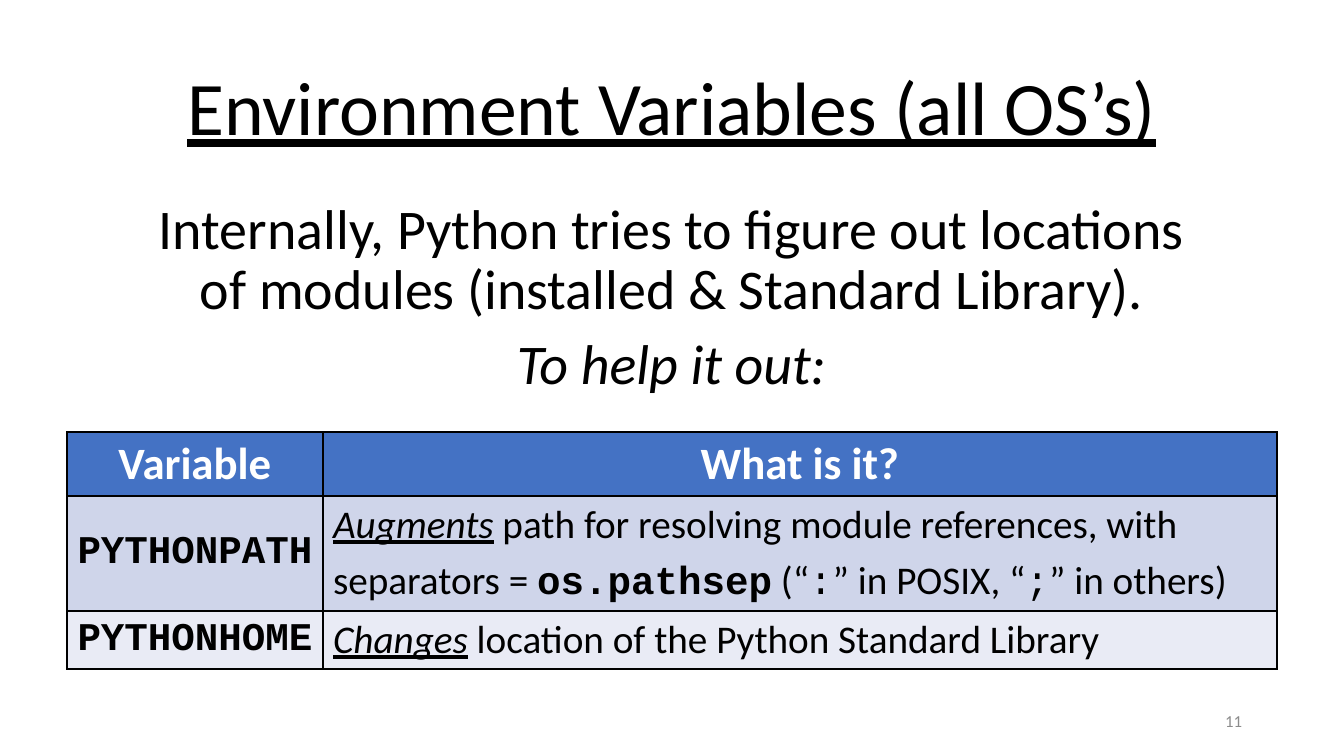
import pptx
import pptx.dml.color
import pptx.enum.text
import pptx.oxml.ns
import pptx.util
from lxml import etree

EMU_PER_PX = 914400 / 100.8
BODY, CODE = "Calibri", "Courier New"
BLACK, WHITE, GREY = "000000", "FFFFFF", "8C8C8C"
BLUE, BLUE_TINT, PALE_TINT = "4472C4", "CFD5EA", "E9EBF5"
ALIGN = pptx.enum.text.PP_ALIGN
ANCHOR = pptx.enum.text.MSO_ANCHOR


def px(length):
    return pptx.util.Emu(round(length * EMU_PER_PX))


def rgb(code):
    return pptx.dml.color.RGBColor.from_string(code)


def add_run(para, text, size, color=BLACK, font=BODY, bold=False, italic=False, underline=False):
    span = para.add_run()
    span.text = text
    span.font.name = font
    span.font.size = pptx.util.Pt(size)
    span.font.color.rgb = rgb(color)
    span.font.bold = bold
    span.font.italic = italic
    span.font.underline = underline


def add_paragraphs(frame, paragraphs, size, color=BLACK, align=ALIGN.LEFT, line=1.0, before=0):
    """Write paragraphs, each a list of (text, run style) pairs."""
    for index, runs in enumerate(paragraphs):
        para = frame.add_paragraph() if index else frame.paragraphs[0]
        para.alignment = align
        para.line_spacing = line
        para.space_before = pptx.util.Pt(before)
        for text, style in runs:
            add_run(para, text, size, color, **style)


def add_text(page, left, top, width, height, paragraphs, size, anchor=ANCHOR.MIDDLE, **style):
    box = page.shapes.add_textbox(px(left), px(top), px(width), px(height))
    box.text_frame.word_wrap = True
    box.text_frame.vertical_anchor = anchor
    add_paragraphs(box.text_frame, paragraphs, size, **style)


def add_borders(cell, color, width):
    properties = cell._tc.get_or_add_tcPr()
    for side in ("a:lnL", "a:lnR", "a:lnT", "a:lnB"):
        border = etree.SubElement(properties, pptx.oxml.ns.qn(side), w=str(pptx.util.Pt(width)))
        fill = etree.SubElement(border, pptx.oxml.ns.qn("a:solidFill"))
        etree.SubElement(fill, pptx.oxml.ns.qn("a:srgbClr"), val=color)


def fill_cell(cell, fill, paragraphs, size, **style):
    add_borders(cell, BLACK, 1)
    cell.fill.solid()
    cell.fill.fore_color.rgb = rgb(fill)
    cell.vertical_anchor = ANCHOR.MIDDLE
    add_paragraphs(cell.text_frame, paragraphs, size, **style)


def add_variable_table(page, left, top, widths, heights, headings, variables):
    table = page.shapes.add_table(
        len(heights), len(widths), px(left), px(top), px(sum(widths)), px(sum(heights))
    ).table
    for column, width in zip(table.columns, widths):
        column.width = px(width)
    for row, height in zip(table.rows, heights):
        row.height = px(height)
    for index, heading in enumerate(headings):
        fill_cell(table.cell(0, index), BLUE, [[(heading, {"bold": True})]], 32,
                  color=WHITE, align=ALIGN.CENTER)
    for index, (name, meaning) in enumerate(variables, start=1):
        fill = BLUE_TINT if index % 2 else PALE_TINT
        fill_cell(table.cell(index, 0), fill, [[(name, {"font": CODE, "bold": True})]], 28,
                  align=ALIGN.CENTER)
        fill_cell(table.cell(index, 1), fill, meaning, 28, before=6)


def main():
    deck = pptx.Presentation()
    deck.slide_width, deck.slide_height = px(1344), px(756)
    page = deck.slides.add_slide(deck.slide_layouts[6])

    plain, code = {}, {"font": CODE}
    stressed = {"italic": True, "underline": True}

    add_text(page, 118, 73, 1108, 76,
             [[("Environment Variables (all OS’s)", {"underline": True})]], 54,
             align=ALIGN.CENTER, line=0.9)
    add_variable_table(
        page, 67, 432, [256, 954], [64, 115, 58], ["Variable", "What is it?"],
        [
            ("PYTHONPATH", [
                [("Augments", stressed),
                 (" path for resolving module references, with", plain)],
                [("separators = ", plain), ("os.pathsep", {"font": CODE, "bold": True}),
                 (" (“", plain), (":", code), ("” in POSIX, “", plain),
                 (";", code), ("” in others)", plain)],
            ]),
            ("PYTHONHOME", [
                [("Changes", stressed),
                 (" location of the Python Standard Library", plain)],
            ]),
        ],
    )
    add_text(page, 950, 701, 302, 40, [[("11", plain)]], 12, color=GREY, align=ALIGN.RIGHT)
    add_text(page, 137, 196, 1069, 212, [
        [("Internally, Python tries to figure out locations of modules "
          "(installed & Standard Library).", plain)],
        [("To help it out:", {"italic": True})],
    ], 40, anchor=ANCHOR.TOP, align=ALIGN.CENTER, line=0.9, before=10)

    deck.save("out.pptx")


if __name__ == "__main__":
    main()
